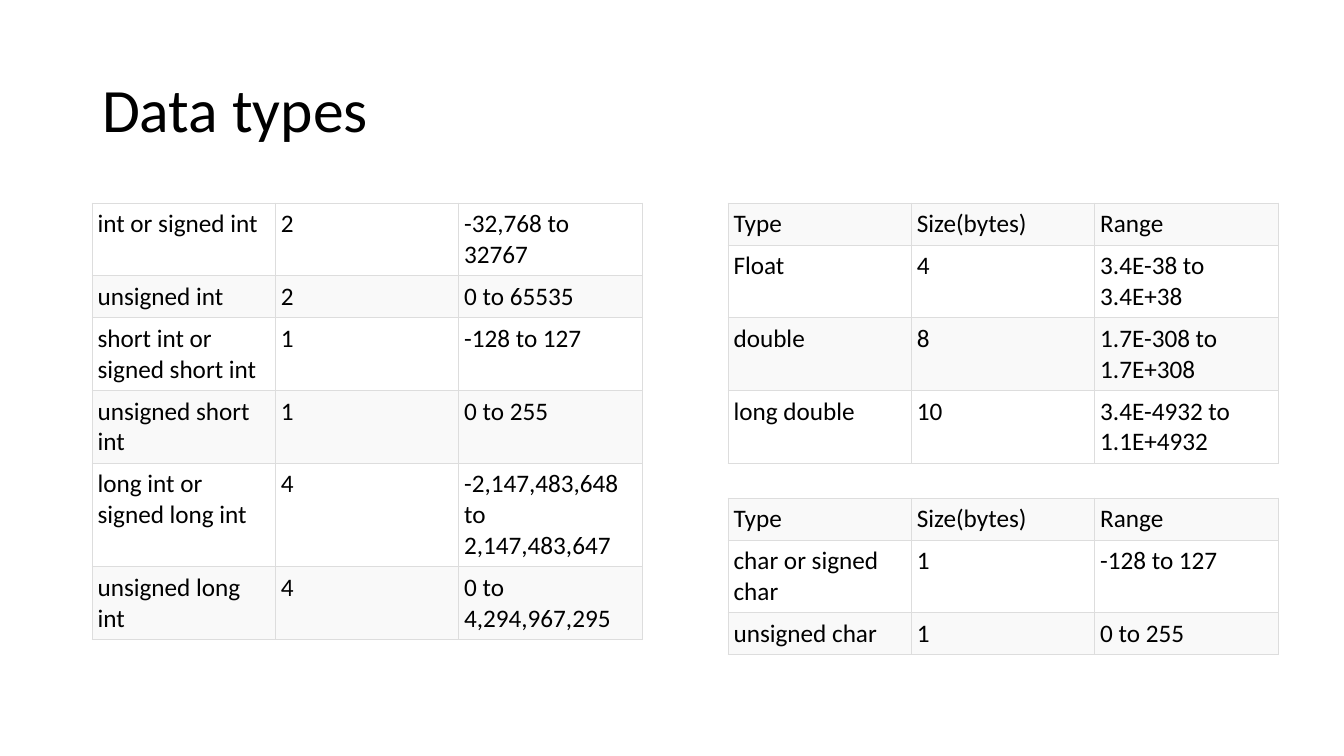
from dataclasses import dataclass

from lxml.etree import fromstring
from pptx import Presentation
from pptx.dml.color import RGBColor
from pptx.enum.text import MSO_ANCHOR as Anchor, MSO_AUTO_SIZE as AutoSize, PP_ALIGN as Align
from pptx.util import Emu, Pt

TITLE = "Data types"
HEADER = (1, "Type", "Size(bytes)", "Range")
INTEGER_TYPES = [
    (2, "int or signed int", "2", "-32,768 to 32767"),
    (1, "unsigned int", "2", "0 to 65535"),
    (2, "short int or signed short int", "1", "-128 to 127"),
    (2, "unsigned short int", "1", "0 to 255"),
    (3, "long int or signed long int", "4", "-2,147,483,648 to 2,147,483,647"),
    (2, "unsigned long int", "4", "0 to 4,294,967,295"),
]
FLOAT_TYPES = [
    HEADER,
    (2, "Float", "4", "3.4E-38 to 3.4E+38"),
    (2, "double", "8", "1.7E-308 to 1.7E+308"),
    (2, "long double", "10", "3.4E-4932 to 1.1E+4932"),
]
CHAR_TYPES = [
    HEADER,
    (2, "char or signed char", "1", "-128 to 127"),
    (1, "unsigned char", "1", "0 to 255"),
]
TABLES = [
    (92, 203, INTEGER_TYPES, 1),
    (728, 203, FLOAT_TYPES, 0),
    (728, 498, CHAR_TYPES, 0),
]
PAGE_SIZE = (1344, 756)
TITLE_BOX = {"left": 92, "top": 40, "width": 1159, "height": 146}
TABLE_WIDTH, ROW_HEIGHT, LINE_HEIGHT = 550, 41, 30
NAMESPACE = "http://schemas.openxmlformats.org/drawingml/2006/main"


@dataclass(frozen=True)
class Theme:
    font: str = "Calibri"
    text: str = "000000"
    stripe: str = "F9F9F9"
    border: str = "DDDDDD"
    title_size: int = 44
    cell_size: int = 18
    border_width: float = 0.5
    cell_inset: int = 4


theme = Theme()


def px(length):
    return Emu(round(length * 914400 / 100.8))


def set_all(target, values):
    for name, value in values.items():
        setattr(target, name, value)


def write(frame, text, size):
    para = frame.paragraphs[0]
    para.alignment = Align.LEFT
    span = para.add_run()
    span.text = text
    set_all(span.font, {"name": theme.font, "size": Pt(size), "bold": False})
    span.font.color.rgb = RGBColor.from_string(theme.text)
    return para


def add_borders(cell):
    properties = cell._tc.get_or_add_tcPr()
    for index, side in enumerate("LRTB"):
        properties.insert(index, fromstring(
            f'<a:ln{side} xmlns:a="{NAMESPACE}" w="{Pt(theme.border_width)}">'
            f'<a:solidFill><a:srgbClr val="{theme.border}"/></a:solidFill></a:ln{side}>'))


def format_cell(cell, text, striped):
    inset = Pt(theme.cell_inset)
    set_all(cell, {f"margin_{side}": inset for side in ("left", "right", "top", "bottom")})
    cell.vertical_anchor = Anchor.TOP
    write(cell.text_frame, text, theme.cell_size)
    if striped:
        cell.fill.solid()
        cell.fill.fore_color.rgb = RGBColor.from_string(theme.stripe)
    else:
        cell.fill.background()
    add_borders(cell)


def add_type_table(page, left, top, rows, first_stripe):
    heights = [ROW_HEIGHT + LINE_HEIGHT * (lines - 1) for lines, *_ in rows]
    columns = len(HEADER) - 1
    table = page.shapes.add_table(len(rows), columns, px(left), px(top),
                                  px(TABLE_WIDTH), px(sum(heights))).table
    set_all(table, {"first_row": False, "horz_banding": False})
    for column in table.columns:
        column.width = px(TABLE_WIDTH / columns)
    for index, (_, *texts) in enumerate(rows):
        table.rows[index].height = px(heights[index])
        for cell, text in zip(table.rows[index].cells, texts):
            format_cell(cell, text, index % 2 == first_stripe)


def main():
    deck = Presentation()
    deck.slide_width, deck.slide_height = map(px, PAGE_SIZE)
    page = deck.slides.add_slide(deck.slide_layouts[5])
    title = page.shapes.title
    set_all(title, {name: px(value) for name, value in TITLE_BOX.items()})
    set_all(title.text_frame, {"vertical_anchor": Anchor.MIDDLE, "word_wrap": True,
                               "auto_size": AutoSize.NONE})
    write(title.text_frame, TITLE, theme.title_size).line_spacing = 0.9
    for table in TABLES:
        add_type_table(page, *table)
    deck.save("out.pptx")


if __name__ == "__main__":
    main()
